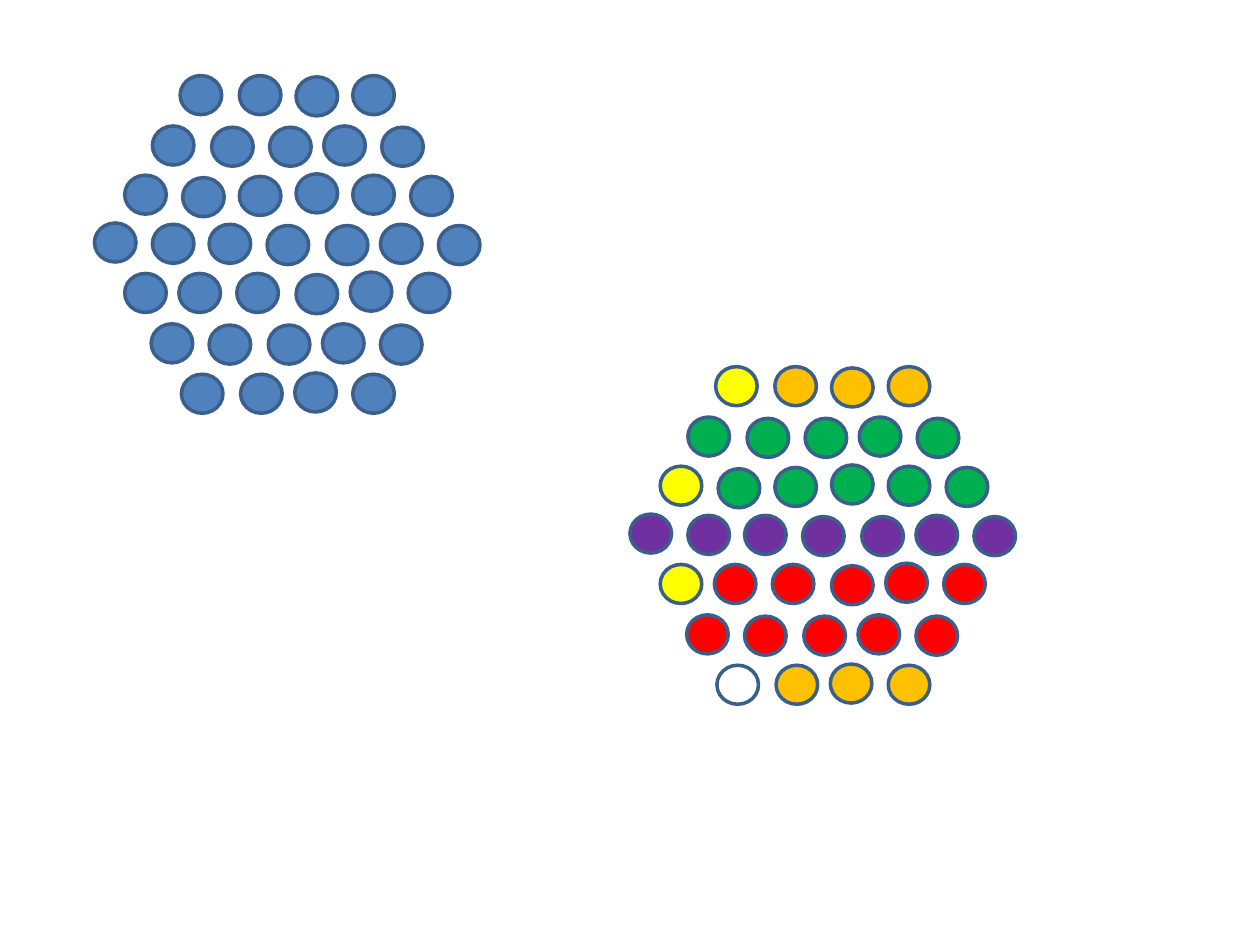
from pptx import Presentation
from pptx.dml.color import RGBColor
from pptx.enum.shapes import MSO_SHAPE
from pptx.util import Inches, Pt

COLORS = {
    "blue": "4F81BD",
    "outline": "3A5F8C",
    "yellow": "FFFF00",
    "orange": "FFC000",
    "green": "00B050",
    "purple": "7030A0",
    "red": "FF0000",
}

HEXAGON_ROWS = [
    [(0.68, 0), (1.15, 0), (1.6, 0.01), (2.05, 0)],
    [(0.46, 0.4), (0.93, 0.41), (1.39, 0.41), (1.82, 0.4), (2.28, 0.41)],
    [(0.24, 0.79), (0.7, 0.81), (1.15, 0.8), (1.6, 0.78), (2.05, 0.79), (2.51, 0.8)],
    [(0, 1.17), (0.46, 1.18), (0.91, 1.18), (1.37, 1.19), (1.84, 1.19), (2.27, 1.18), (2.73, 1.19)],
    [(0.24, 1.57), (0.67, 1.57), (1.13, 1.57), (1.6, 1.58), (2.03, 1.56), (2.49, 1.57)],
    [(0.45, 1.97), (0.91, 1.98), (1.38, 1.98), (1.81, 1.97), (2.27, 1.98)],
    [(0.69, 2.37), (1.16, 2.37), (1.59, 2.36), (2.05, 2.37)],
]

PLAIN_ROWS = [["blue"] * len(row) for row in HEXAGON_ROWS]

COLORED_ROWS = [
    ["yellow"] + ["orange"] * 3,
    ["green"] * 5,
    ["yellow"] + ["green"] * 5,
    ["purple"] * 7,
    ["yellow"] + ["red"] * 5,
    ["red"] * 5,
    [None] + ["orange"] * 3,
]


class SlideBuilder:
    def __init__(self, slide):
        self.slide = slide
        self.circle_width = Inches(0.33)
        self.circle_height = Inches(0.31)
        self.line_width = Pt(2)

    def circle(self, group, left, top, color):
        shape = group.shapes.add_shape(
            MSO_SHAPE.OVAL, Inches(left), Inches(top), self.circle_width, self.circle_height
        )
        shape.shadow.inherit = False
        if color:
            shape.fill.solid()
            shape.fill.fore_color.rgb = RGBColor.from_string(COLORS[color])
        else:
            shape.fill.background()
        shape.line.color.rgb = RGBColor.from_string(COLORS["outline"])
        shape.line.width = self.line_width

    def hexagon(self, left, top, color_rows):
        group = self.slide.shapes.add_group_shape()
        for positions, colors in zip(HEXAGON_ROWS, color_rows):
            for (x, y), color in zip(positions, colors):
                self.circle(group, left + x, top + y, color)


def main():
    presentation = Presentation()
    presentation.slide_width = Inches(10)
    presentation.slide_height = Inches(7.5)
    slide = presentation.slides.add_slide(presentation.slide_layouts[6])
    builder = SlideBuilder(slide)
    builder.hexagon(5, 2.91, COLORED_ROWS)
    builder.hexagon(0.75, 0.6, PLAIN_ROWS)
    presentation.save("out.pptx")


if __name__ == "__main__":
    main()
